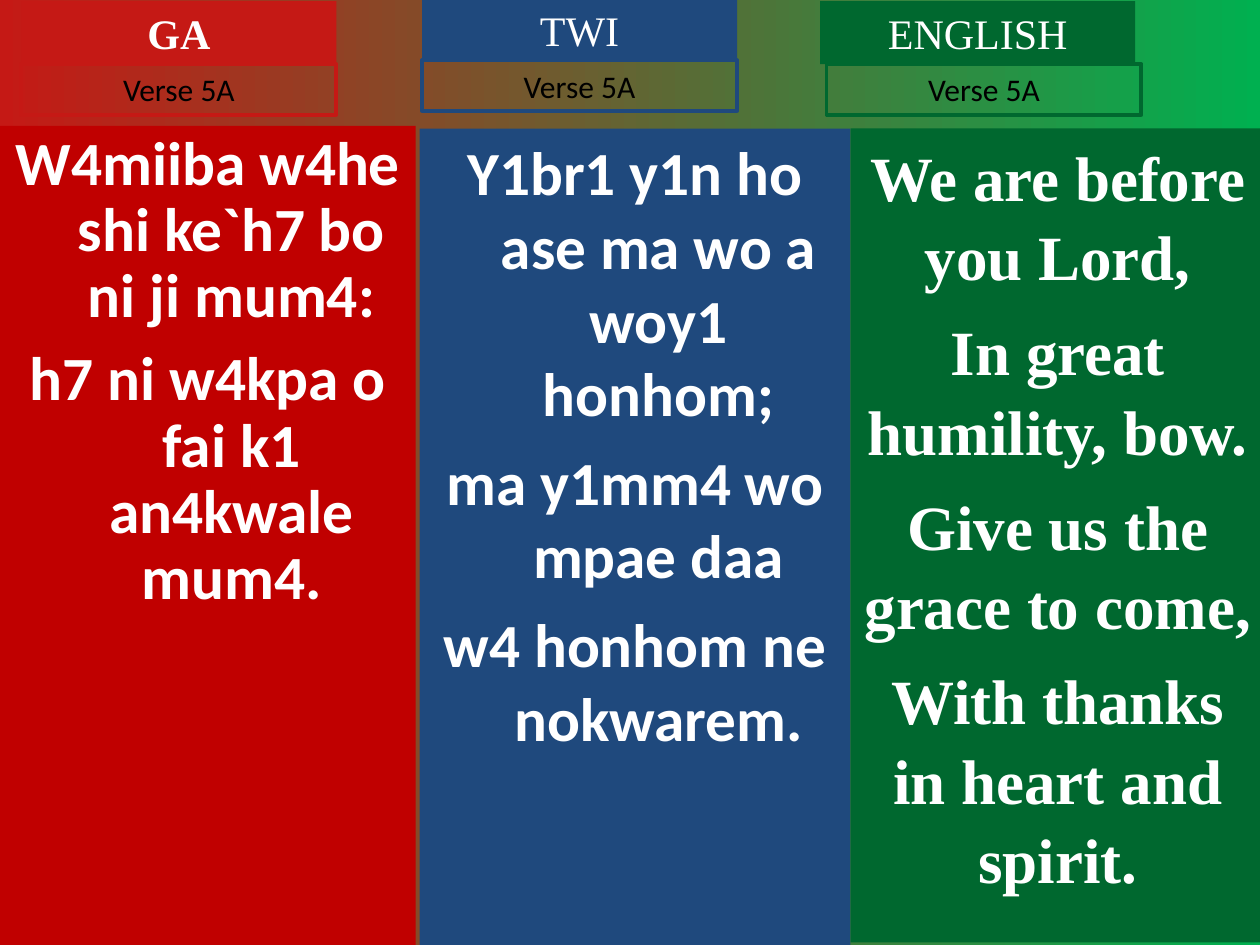
from pptx import Presentation
from pptx.dml.color import RGBColor
from pptx.enum.shapes import MSO_SHAPE as SHAPE
from pptx.enum.text import MSO_ANCHOR as ANCHOR, MSO_AUTO_SIZE as AUTO, PP_ALIGN as ALIGN
from pptx.util import Pt

COLORS = {
    "red": "C51915", "dark_red": "C00000", "blue": "1F497D",
    "green": "00682F", "bright_green": "00B050",
    "white": "FFFFFF", "black": "000000",
}
SERIF, SANS = "Times New Roman", "Calibri"


def rgb(name):
    return RGBColor.from_string(COLORS[name])


def add_box(box, lines, font, size, color, bold=False, fill=None, line=None,
            before=0, spacing=None, hanging=0, grow=False):
    sp = s.shapes.add_shape(SHAPE.RECTANGLE, *[Pt(v) for v in box])
    sp.shadow.inherit = False
    if fill:
        sp.fill.solid()
        sp.fill.fore_color.rgb = rgb(fill)
    else:
        sp.fill.background()
    if line:
        sp.line.color.rgb = rgb(line)
        sp.line.width = Pt(2.25)
    else:
        sp.line.fill.background()
    tf = sp.text_frame
    tf.word_wrap = True
    tf.vertical_anchor = ANCHOR.TOP
    tf.auto_size = AUTO.SHAPE_TO_FIT_TEXT if grow else AUTO.NONE
    for i, text in enumerate(lines):
        p = tf.paragraphs[0] if i == 0 else tf.add_paragraph()
        p.text = text
        p.alignment = ALIGN.CENTER
        if spacing:
            p.line_spacing = spacing
        if i:
            p.space_before = Pt(before)
        if hanging:
            pPr = p._p.get_or_add_pPr()
            pPr.set("marL", str(Pt(hanging)))
            pPr.set("indent", str(-Pt(hanging)))
        p.font.name, p.font.size, p.font.bold = font, Pt(size), bold
        p.font.color.rgb = rgb(color)


prs = Presentation()
prs.slide_width, prs.slide_height = Pt(720), Pt(540)
s = prs.slides.add_slide(prs.slide_layouts[6])

# Background: red to green, left to right
bg = s.background.fill
bg.gradient()
bg.gradient_angle = 0
for stop, name, pos in zip(bg.gradient_stops, ("red", "bright_green"), (0, 1)):
    stop.color.rgb = rgb(name)
    stop.position = pos

# One column per language: title, verse label, lyrics
columns = [
    dict(title="GA", bold=True, color="red", at=(12.24, 0.72), label=(12.24, 36.72),
         body=dict(box=(0, 72, 237.6, 468), fill="dark_red", font=SANS, size=35.1,
                   before=9.5, spacing=0.9, hanging=27,
                   lines=["W4miiba w4he shi ke`h7 bo ni ji mum4:",
                          "h7 ni w4kpa o fai k1 an4kwale mum4."])),
    dict(title="TWI", bold=False, color="blue", at=(241.2, -0.72), label=(241.2, 34.56),
         body=dict(box=(239.76, 73.44, 246.24, 466.56), fill="blue", font=SANS, size=35,
                   before=8.8, hanging=27,
                   lines=["Y1br1 y1n ho ase ma wo a woy1 honhom;",
                          "ma y1mm4 wo mpae daa",
                          "w4 honhom ne nokwarem."])),
    dict(title="ENGLISH", bold=False, color="green", at=(468.72, 0.72), label=(472.32, 36.72),
         body=dict(box=(486, 73.44, 236.88, 465.12), fill="green", font=SERIF, size=36,
                   before=9, spacing=1.05,
                   lines=["We are before you Lord,", "In great humility, bow.",
                          "Give us the grace to come,",
                          "With thanks in heart and spirit."])),
]
for col in columns:
    add_box(color="white", bold=True, **col["body"])
    add_box((*col["at"], 180, 36), [col["title"]], SERIF, 24, "white",
            bold=col["bold"], fill=col["color"], grow=True)
    add_box((*col["label"], 180, 28.8), ["Verse 5A"], SANS, 18, "black",
            line=col["color"], grow=True)

prs.save("out.pptx")
